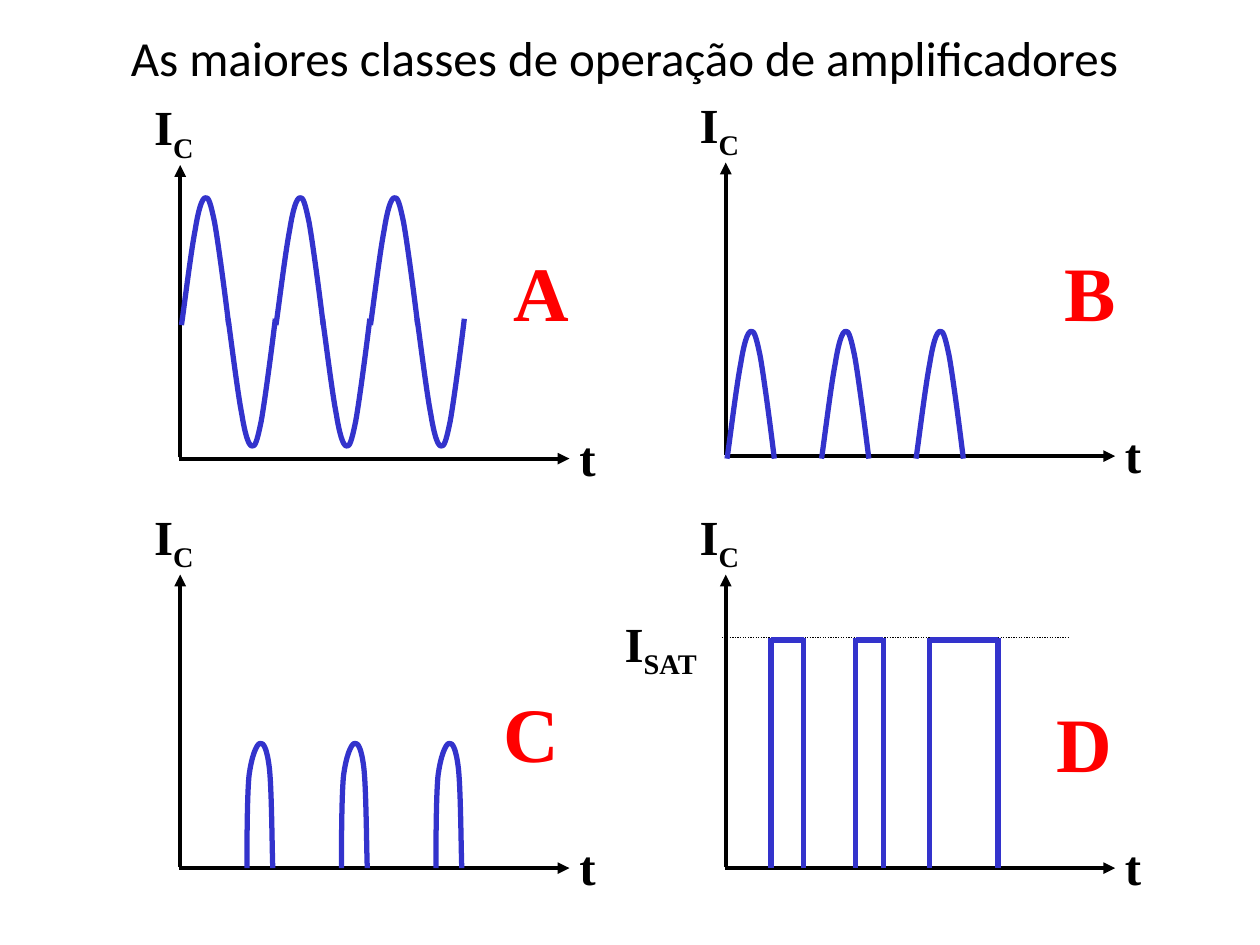
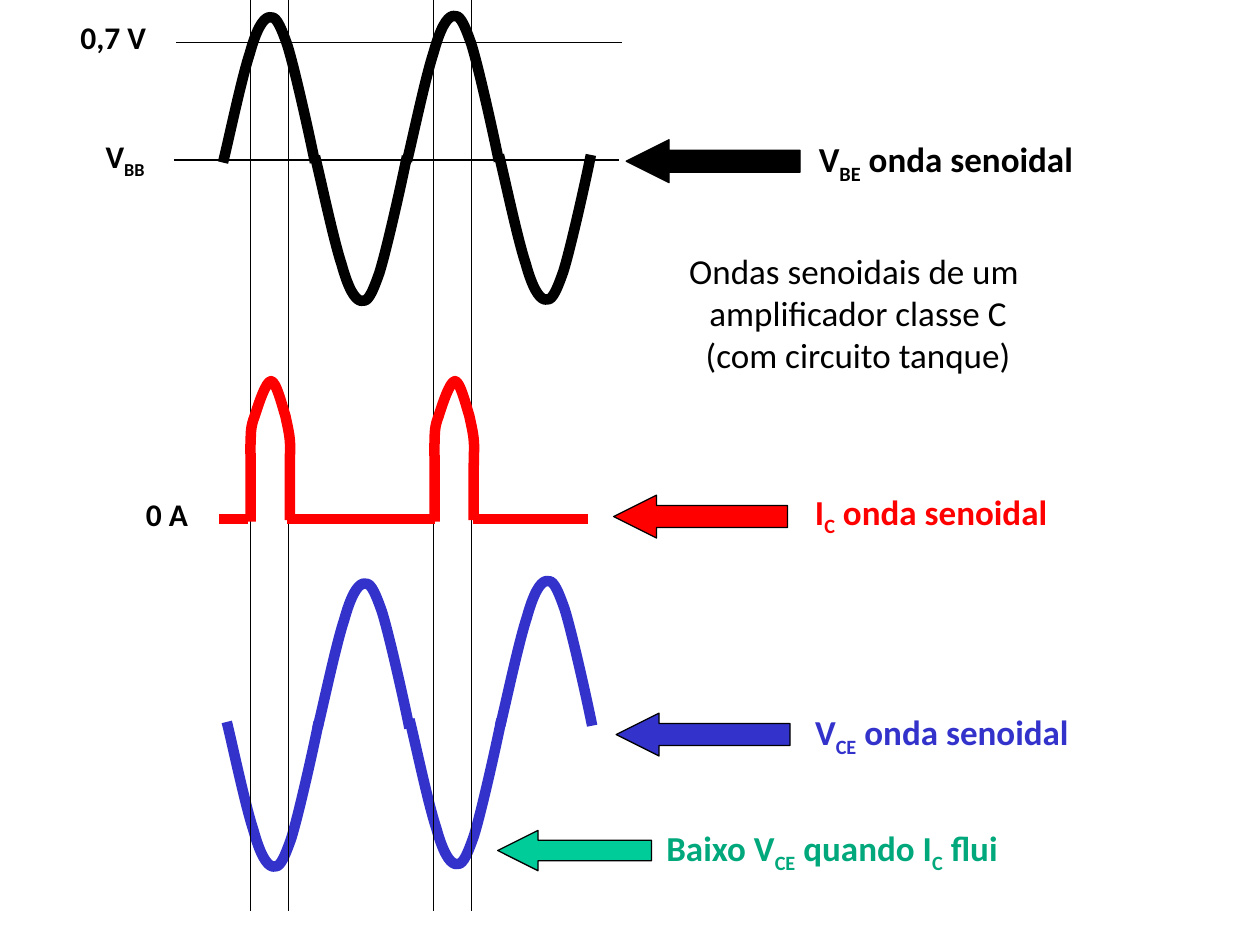
import pptx
import pptx.util
import pptx.dml.color
import pptx.enum.dml
import pptx.enum.shapes
import pptx.enum.text
import pptx.oxml.ns
import lxml.etree

COLUMNS, ROWS = 100, 75  # square grid cells over the whole slide
COLORS = {"ink": "000000", "blue": "3333CC", "red": "FF0000",
          "green": "00CC99", "dark_green": "00A87C"}
FORMATS = {
    "title": {"name": "Calibri", "size": pptx.util.Pt(28), "bold": False},
    "axis": {"name": "Times New Roman", "size": pptx.util.Pt(28), "bold": True},
    "class": {"name": "Times New Roman", "size": pptx.util.Pt(44), "bold": True},
    "level": {"name": "Calibri", "size": pptx.util.Pt(18), "bold": True},
    "signal": {"name": "Calibri", "size": pptx.util.Pt(20), "bold": True},
    "caption": {"name": "Calibri", "size": pptx.util.Pt(20), "bold": False},
}

# Cubic Bezier profiles: (share of width, share of height above the base)
HALF_SINE = [(0, 0), (.05, .12), (.2, .57), (.29, .74), (.36, .9), (.43, .98), (.5, .99),
             (.57, 1), (.61, .96), (.7, .8), (.78, .64), (.95, .16), (1, 0)]
NARROW_PULSE = [(0, 0), (0, .12), (0, .56), (.08, .73), (.18, .89), (.37, .98), (.5, .99),
                (.64, 1), (.78, .95), (.87, .79), (.96, .62), (.97, .16), (1, 0)]
CLIPPED_PULSE = [(0, 0), (0, .06), (0, .31), (0, .4), (0, .5), (-.02, .51), (0, .57),
                 (0, .63), (0, .68), (.1, .75), (.19, .83), (.39, 1), (.52, 1),
                 (.65, 1), (.81, .82), (.89, .75), (.95, .67), (.98, .64), (1, .58),
                 (1.02, .53), (1, .49), (1, .4), (1, .3), (1, .09), (1, .01)]


class Deck:
    """Holds the style and the slide being drawn."""

    def __init__(self):
        self.presentation = pptx.Presentation()
        self.presentation.slide_width = pptx.util.Inches(10)
        self.presentation.slide_height = pptx.util.Inches(7.5)
        self.slide = None

    def new_slide(self):
        self.slide = self.presentation.slides.add_slide(self.presentation.slide_layouts[6])

    def place(self, *lengths):
        """Turn alternating columns and rows into slide units."""
        cells = (self.presentation.slide_width / COLUMNS, self.presentation.slide_height / ROWS)
        return [round(length * cells[index % 2]) for index, length in enumerate(lengths)]

    def color(self, name):
        return pptx.dml.color.RGBColor.from_string(COLORS[name])

    def outline(self, shape, color, weight):
        shape.line.color.rgb = self.color(color)
        shape.line.width = pptx.util.Pt(weight)

    def text(self, box, lines, style, color="ink", align="LEFT"):
        """Write lines; every second part between bars is a subscript."""
        frame = self.slide.shapes.add_textbox(*self.place(*box)).text_frame
        frame.word_wrap = False
        frame.auto_size = pptx.enum.text.MSO_AUTO_SIZE.SHAPE_TO_FIT_TEXT
        for index, line in enumerate(lines.split("\n")):
            paragraph = frame.add_paragraph() if index else frame.paragraphs[0]
            paragraph.alignment = pptx.enum.text.PP_ALIGN[align]
            for part, words in enumerate(line.split("|")):
                run = paragraph.add_run()
                run.text = words
                for name, value in FORMATS[style].items():
                    setattr(run.font, name, value)
                run.font.color.rgb = self.color(color)
                if part % 2:
                    run._r.get_or_add_rPr().set("baseline", "-25000")

    def line(self, ends, color="ink", weight=.75, dotted=False, arrow=False):
        connector = self.slide.shapes.add_connector(
            pptx.enum.shapes.MSO_CONNECTOR.STRAIGHT, *self.place(*ends))
        self.outline(connector, color, weight)
        if dotted:
            connector.line.dash_style = pptx.enum.dml.MSO_LINE.ROUND_DOT
        properties = connector._element.spPr
        if arrow:
            line_element = properties.find(pptx.oxml.ns.qn("a:ln"))
            tail = lxml.etree.SubElement(line_element, pptx.oxml.ns.qn("a:tailEnd"))
            tail.set("type", "triangle")
        lxml.etree.SubElement(properties, pptx.oxml.ns.qn("a:effectLst"))

    def curve(self, profile, left, base, width, height, color, weight):
        """Draw a profile on its base; a negative height turns it over."""
        points = [tuple(self.place(left + x * width, base - y * height)) for x, y in profile]
        builder = self.slide.shapes.build_freeform(*points[0])
        builder.add_line_segments(points[1:], close=False)
        shape = builder.convert_to_shape()
        self.bend(shape)
        shape.shadow.inherit = False
        shape.fill.background()
        self.outline(shape, color, weight)

    def bend(self, shape):
        """Join every three straight segments into one cubic Bezier segment."""
        segments = list(shape._element.iter(pptx.oxml.ns.qn("a:lnTo")))
        for start in range(0, len(segments), 3):
            cubic = lxml.etree.Element(pptx.oxml.ns.qn("a:cubicBezTo"))
            segments[start].addprevious(cubic)
            for segment in segments[start:start + 3]:
                cubic.append(segment[0])
                segment.getparent().remove(segment)

    def left_arrow(self, box, color):
        shape = self.slide.shapes.add_shape(
            pptx.enum.shapes.MSO_SHAPE.LEFT_ARROW, *self.place(*box))
        shape.shadow.inherit = False
        shape.adjustments[0], shape.adjustments[1] = .51, 1
        shape.fill.solid()
        shape.fill.fore_color.rgb = self.color(color)
        self.outline(shape, "ink", .75)

    def axes(self, left, base):
        self.line((left, base - .1, left, base - 23.3), weight=2.25, arrow=True)
        self.line((left - .1, base, left + 30.9, base), weight=2.25, arrow=True)
        self.text((left + 30.7, base - 3, 3.3, 5.2), "t", "axis")
        self.text((left - 3.05, base - 29.2, 5.4, 5.2), "I|C", "axis")


def amplifier_classes(deck):
    deck.new_slide()
    deck.line((57.3, 50.6, 84.8, 50.6), dotted=True)
    for left, base in ((14.3, 36.4), (57.6, 36.2), (14.3, 68.9), (57.6, 68.9)):
        deck.axes(left, base)

    # Collector current in classes A, B and C
    for cycle in range(3):
        shift = 7.5 * cycle
        deck.curve(HALF_SINE, 18.1 + shift, 25.3, 3.75, -10.2, "blue", 3)
        deck.curve(HALF_SINE, 14.4 + shift, 25.8, 3.75, 10.2, "blue", 3)
        deck.curve(HALF_SINE, 57.7 + shift, 36.4, 3.75, 10.2, "blue", 3)
        deck.curve(NARROW_PULSE, 19.6 + shift, 68.9, 2.05, 10, "blue", 3)

    # Switched current in class D
    for start, end in ((61.2, 63.8), (67.9, 70.1), (73.8, 79.2)):
        for edge in (start, end):
            deck.line((edge, 68.9, edge, 50.6), "blue", 3)
        deck.line((start, 50.8, end, 50.8), "blue", 3)
    deck.text((48.6, 48.2, 8.6, 5.2), "I|SAT", "axis")

    # Class letters and title
    for letter, left, top in (("A", 39.8, 18.9), ("B", 83.5, 18.9),
                              ("C", 39, 53.9), ("D", 82.9, 54.7)):
        deck.text((left, top, 6.4, 7.6), letter, "class", "red")
    deck.text((9.4, 1.7, 83, 5.7), "As maiores classes de operação de amplificadores", "title")


def class_c_waves(deck):
    deck.new_slide()
    period, half = 14.6, 7.3

    # Base and collector voltages, the second cycle slightly higher
    for cycle in range(2):
        shift, rise = period * cycle, .1 * cycle
        deck.curve(HALF_SINE, 25 + shift, 12.4 - rise, half, -11.6, "ink", 6)
        deck.curve(HALF_SINE, 17.7 + shift, 12.9 - rise, half, 11.65, "ink", 6)
    for cycle in range(2):
        shift, rise = 14.5 * cycle, .2 * cycle
        deck.curve(HALF_SINE, 25.2 + shift, 57.8 - rise, half, 11.6, "blue", 6)
        deck.curve(HALF_SINE, 18 + shift, 57.3 - rise, half, -11.6, "blue", 6)

    # Conduction limits and collector current pulses
    for left in (19.9, 34.4):
        for edge in (left, left + 3):
            deck.line((edge, 72.3, edge, -.6))
    for cycle in range(2):
        deck.curve(CLIPPED_PULSE, 19.9 + period * cycle, 41.4, 3.1, 11.15, "red", 6)
    for start, end in ((17.4, 19.7), (22.8, 34.5), (37.5, 46.7)):
        deck.line((start, 41.2, end, 41.2), "red", 6)

    # Reference levels
    deck.line((14, 3.4, 49.4, 3.4))
    deck.line((13.8, 12.7, 49.1, 12.7))
    for words, left, top, width in (("V|BB", 7.4, 10.4, 5.4), ("0,7 V", 5.4, .9, 7.6),
                                    ("0 A", 10.6, 38.8, 5.6)):
        deck.text((left, top, width, 4), words, "level")

    # Arrows and signal names
    for left, top, width, height, color in (
            (49.7, 11.1, 13.8, 3.4, "ink"), (48.7, 39.3, 13.8, 3.4, "red"),
            (48.9, 56.6, 13.8, 3.4, "blue"), (39.5, 65.9, 12.2, 3.2, "green")):
        deck.left_arrow((left, top, width, height), color)
    for words, left, top, width, color in (
            ("V|BE| onda senoidal", 64, 10.4, 22.6, "ink"),
            ("I|C| onda senoidal", 63.7, 38.4, 20.7, "red"),
            ("V|CE| onda senoidal", 63.7, 55.9, 22.5, "blue"),
            ("Baixo V|CE| quando I|C| flui", 51.9, 65.1, 28.9, "dark_green")):
        deck.text((left, top, width, 4.4), words, "signal", color)
    deck.text((53, 19.3, 30.2, 11.1),
              "Ondas senoidais de um \namplificador classe C\n(com circuito tanque)",
              "caption", align="CENTER")


def main():
    deck = Deck()
    amplifier_classes(deck)
    class_c_waves(deck)
    deck.presentation.save("out.pptx")


if __name__ == "__main__":
    main()
